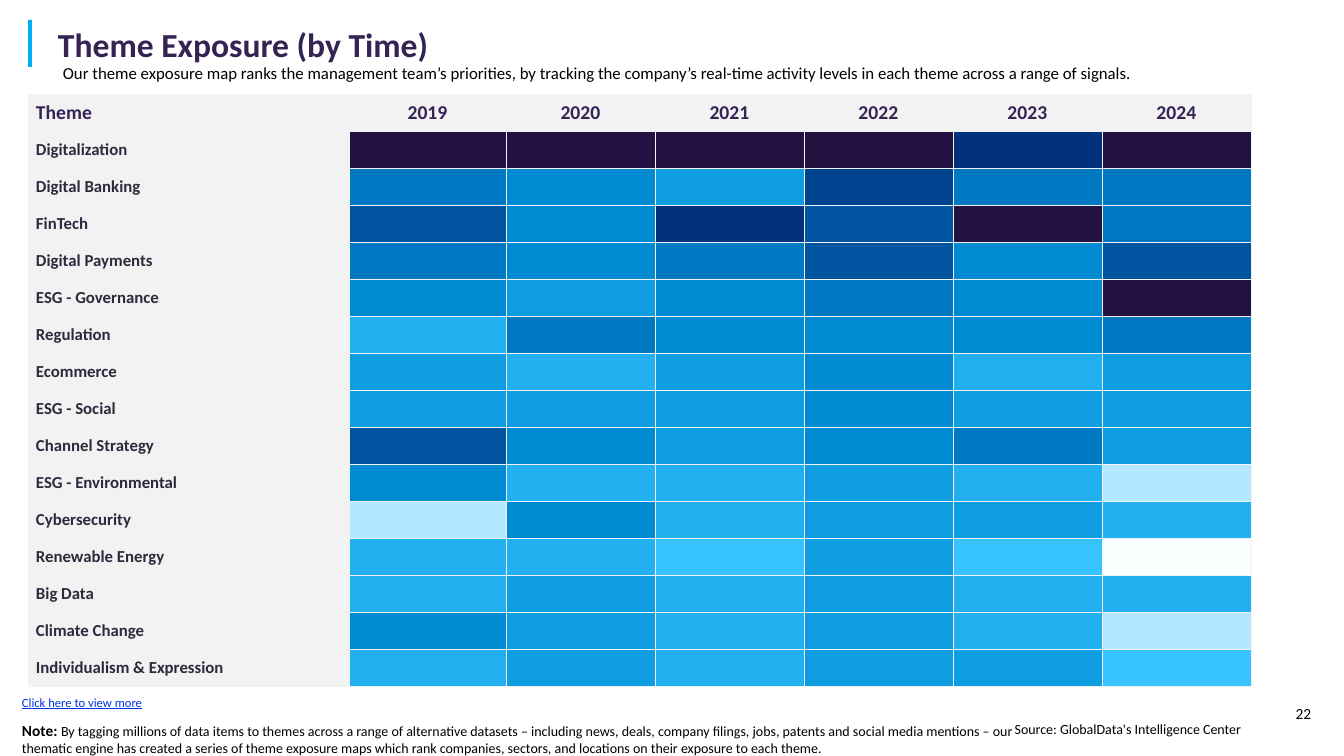
from lxml import etree
from pptx import Presentation
from pptx.dml.color import RGBColor
from pptx.enum.shapes import MSO_SHAPE
from pptx.enum.text import MSO_ANCHOR, MSO_AUTO_SIZE, PP_ALIGN
from pptx.oxml.ns import qn
from pptx.util import Emu, Pt

LEFT, MID, RIGHT = PP_ALIGN.LEFT, PP_ALIGN.CENTER, PP_ALIGN.RIGHT
CENTER = MSO_ANCHOR.MIDDLE
NO_FIT = MSO_AUTO_SIZE.NONE
BAR = MSO_SHAPE.RECTANGLE
FONT = "Calibri"
COLORS = {
    "text": "000000", "head": "352354", "theme": "2E293D",
    "pale": "F2F2F2", "accent": "00B0F0", "link": "0034EC",
}
# Heat scale, from the highest exposure (A) to the lowest (K)
HEAT = {
    "A": "231142", "B": "03327C", "C": "00438E", "D": "0054A0",
    "E": "0078C2", "F": "008AD2", "G": "0F9DE1", "H": "23B0F0",
    "I": "36C3FF", "J": "B4E8FF", "K": "FCFFFF",
}
HEADS = ["Theme", "2019", "2020", "2021", "2022", "2023", "2024"]
THEMES = [
    ("Digitalization", "AAAABA"),
    ("Digital Banking", "EFGCEE"),
    ("FinTech", "DFBDAE"),
    ("Digital Payments", "EFEDFD"),
    ("ESG - Governance", "FGFEFA"),
    ("Regulation", "HEFFFE"),
    ("Ecommerce", "GHGFHG"),
    ("ESG - Social", "GGGFGG"),
    ("Channel Strategy", "DFGFEG"),
    ("ESG - Environmental", "FHHGHJ"),
    ("Cybersecurity", "JFHGGH"),
    ("Renewable Energy", "HHIGIK"),
    ("Big Data", "HGHGHH"),
    ("Climate Change", "FGHGHJ"),
    ("Individualism & Expression", "HGHGGI"),
]
WIDTHS = [321, 157] + [149] * 5
ROW = 37


def px(n):
    return Emu(round(n * 914400 / 100.8))


def rgb(hue):
    return RGBColor.from_string(hue)


def style(run, size, hue, bold=False):
    font = run.font
    font.name, font.size, font.bold = FONT, Pt(size), bold
    font.color.rgb = rgb(hue)


def place(shape, box):
    shape.left, shape.top, shape.width, shape.height = map(px, box)


def add_title(slide, text):
    title = slide.shapes.title
    place(title, (27, 24, 1238, 40))
    frame = title.text_frame
    frame.text = text
    frame.auto_size = NO_FIT
    frame.vertical_anchor = CENTER
    frame.margin_left = px(31)
    frame.paragraphs[0].alignment = LEFT
    style(frame.paragraphs[0].runs[0], 24, COLORS["head"], True)


def add_bar(slide, box):
    bar = slide.shapes.add_shape(BAR, *map(px, box))
    bar.shadow.inherit = False
    bar.fill.solid()
    bar.fill.fore_color.rgb = rgb(COLORS["accent"])
    bar.line.fill.background()


def add_text(slide, box, text, size, hue="text", align=LEFT):
    frame = slide.shapes.add_textbox(*map(px, box)).text_frame
    frame.word_wrap = True
    frame.text = text
    para = frame.paragraphs[0]
    para.alignment = align
    style(para.runs[0], size, COLORS[hue])
    return frame


def add_edges(cell):
    props = cell._tc.get_or_add_tcPr()
    for side in ("a:lnL", "a:lnR", "a:lnT", "a:lnB"):
        line = etree.SubElement(props, qn(side), w="3175")
        fill = etree.SubElement(line, qn("a:solidFill"))
        etree.SubElement(fill, qn("a:srgbClr"), val=COLORS["pale"])


def fill_cell(cell, hue):
    add_edges(cell)
    cell.fill.solid()
    cell.fill.fore_color.rgb = rgb(hue)
    cell.margin_top = cell.margin_bottom = 0


def label(cell, text, size, hue, align=LEFT):
    fill_cell(cell, COLORS["pale"])
    cell.text = text
    cell.vertical_anchor = CENTER
    cell.margin_left = px(8 if align == LEFT else 4)
    cell.margin_right = px(4)
    para = cell.text_frame.paragraphs[0]
    para.alignment = align
    style(para.runs[0], size, COLORS[hue], True)


def add_map(slide):
    count = len(THEMES) + 1
    box = (28, 94, sum(WIDTHS), ROW * count)
    grid = slide.shapes.add_table(count, len(HEADS), *map(px, box)).table
    for col, width in zip(grid.columns, WIDTHS):
        col.width = px(width)
    for row in grid.rows:
        row.height = px(ROW)
    for c, head in enumerate(HEADS):
        label(grid.cell(0, c), head, 14, "head", MID if c else LEFT)
    for r, (theme, heat) in enumerate(THEMES, 1):
        label(grid.cell(r, 0), theme, 12, "theme")
        for c, key in enumerate(heat, 1):
            fill_cell(grid.cell(r, c), HEAT[key])


def main():
    deck = Presentation()
    deck.slide_width, deck.slide_height = px(1344), px(756)
    slide = deck.slides.add_slide(deck.slide_layouts[5])

    add_text(slide, (1263, 699, 81, 29), "22", 11, align=MID)
    add_bar(slide, (28, 20, 4, 47))
    source = add_text(slide, (32, 716, 1238, 27),
                      "Source: GlobalData's Intelligence Center", 10, align=RIGHT)
    source.margin_right = px(29)
    add_title(slide, "Theme Exposure (by Time)")
    add_map(slide)
    add_text(slide, (53, 58, 1238, 30),
             "Our theme exposure map ranks the management team’s priorities, "
             "by tracking the company’s real-time activity levels in each "
             "theme across a range of signals.", 12)
    note = add_text(slide, (12, 716, 1021, 45), "Note: ", 11).paragraphs[0]
    note.runs[0].font.bold = True
    rest = note.add_run()
    rest.text = (
        "By tagging millions of data items to themes across a range of "
        "alternative datasets – including news, deals, company filings, jobs, "
        "patents and social media mentions – our thematic engine has created "
        "a series of theme exposure maps which rank companies, sectors, and "
        "locations on their exposure to each theme.")
    style(rest, 10, COLORS["text"])
    more = add_text(slide, (12, 690, 286, 30), "Click here to view more", 9, "link")
    more.paragraphs[0].runs[0].font.underline = True

    deck.save("out.pptx")


if __name__ == "__main__":
    main()
